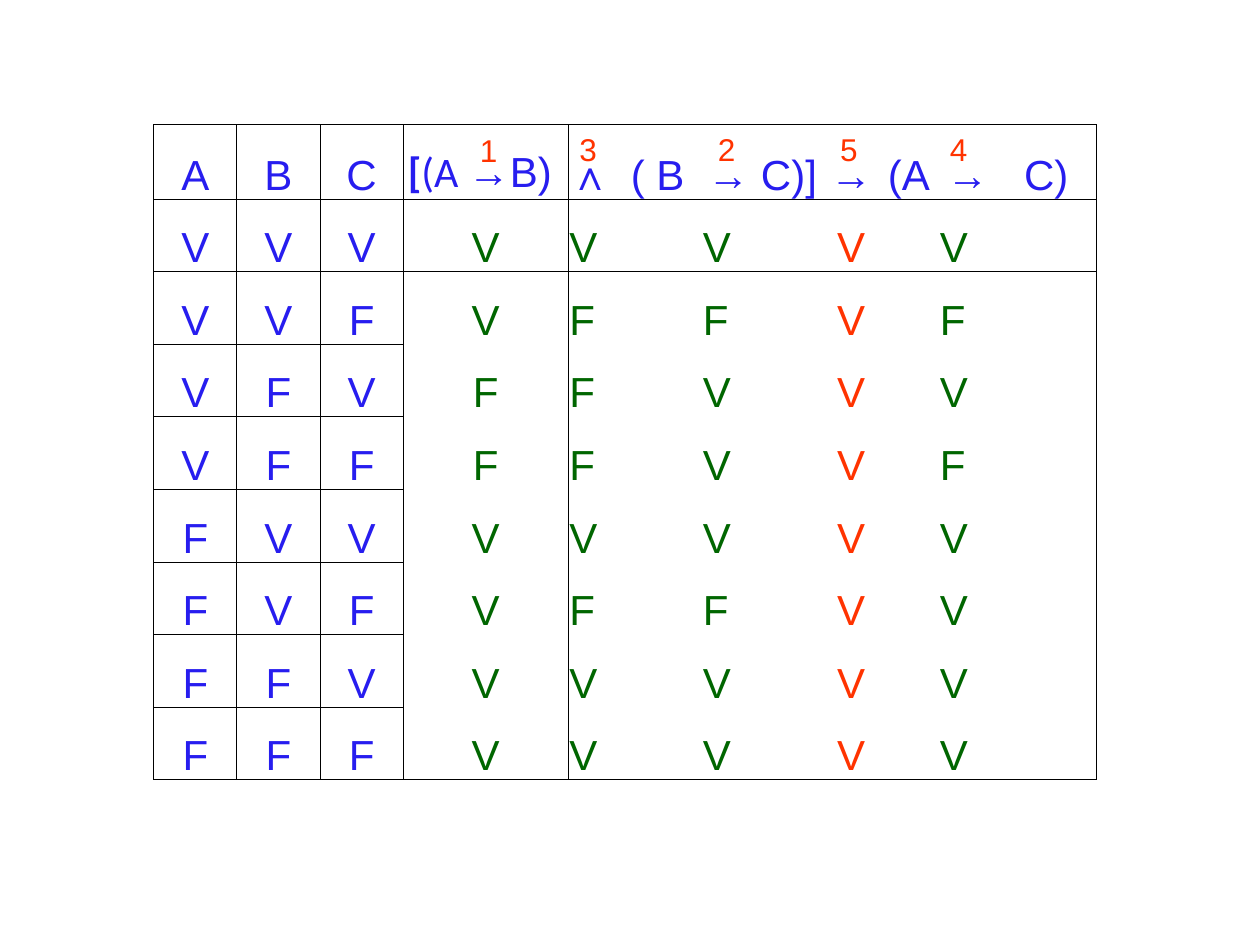
from itertools import product

from pptx import Presentation
from pptx.dml.color import RGBColor
from pptx.enum import text
from pptx.oxml import parse_xml
from pptx.oxml.ns import nsdecls, qn
from pptx.util import Inches, Pt

BLUE, GREEN, RED, BLACK = "271DEF", "006600", "FF3300", "000000"
NO_STYLE = "{2D5ABB26-0587-4C30-8999-92F81FD0307C}"
COL_WIDTHS = [0.66, 0.66, 0.66, 1.31, 0.36, 0.7, 0.96, 0.45, 0.47, 0.46, 0.79]
TABLE_HEIGHT, HEADER_HEIGHT = 5.2, 0.59
VARIABLES = 3
CENTER, LEFT = text.PP_ALIGN.CENTER, text.PP_ALIGN.LEFT

# Each header cell is a list of (text, font, bold) runs
HEADER = [[(t, "Arial", False)] for t in
          ("A", "B", "C", "", "∧", "( B", "→ C)]", "→", "(A", "→", "C)")]
HEADER[3] = [("[", "Calibri", True), ("(A ", "Calibri", False), ("→Β) ", "Arial", False)]

# Order of evaluation: number, left, top, wraps
STEPS = [("1", 3.71, 0.99, False), ("2", 5.6, 0.98, False), ("3", 4.5, 0.98, False),
         ("4", 7.44, 0.98, False), ("5", 6.57, 0.98, True)]


def rgb(color):
    return RGBColor.from_string(color)


def add_run(p, value, size, color, font="Arial", bold=False):
    r = p.add_run()
    r.text = value
    r.font.size, r.font.name, r.font.bold = Pt(size), font, bold
    r.font.color.rgb = rgb(color)


def write_cell(cell, runs, color, align=CENTER):
    cell.vertical_anchor = text.MSO_ANCHOR.BOTTOM
    cell.margin_left = cell.margin_right = cell.margin_top = Inches(0.01)
    cell.margin_bottom = 0
    p = cell.text_frame.paragraphs[0]
    p.alignment = align
    for value, font, bold in runs:
        add_run(p, value, 24, color, font, bold)


def set_borders(cell, sides):
    """Draw thin lines on the given sides, from L, R, T and B."""
    tc_pr = cell._tc.get_or_add_tcPr()
    for i, side in enumerate(s for s in "LRTB" if s in sides):
        line = parse_xml(
            f'<a:ln{side} {nsdecls("a")} w="{Pt(0.5)}"><a:solidFill>'
            f'<a:srgbClr val="{BLACK}"/></a:solidFill></a:ln{side}>')
        tc_pr.insert(i, line)


def border_sides(row, col, rows, cols):
    """Full grid for header and variables, outline only for the formula."""
    if col < VARIABLES:
        return "LRTB"
    sides = "L" if col == VARIABLES else ""
    sides += "R" if col == cols - 1 else ""
    sides += "T" if row < 2 else ""
    return sides + ("B" if row in (0, rows - 1) else "")


def truth_values(a, b, c):
    """Formula column -> (value, colour, alignment)."""
    ab, bc, ac = not a or b, not b or c, not a or c
    both = ab and bc
    return {0: (a, BLUE, CENTER), 1: (b, BLUE, CENTER), 2: (c, BLUE, CENTER),
            3: (ab, GREEN, CENTER), 4: (both, GREEN, LEFT), 6: (bc, GREEN, LEFT),
            7: (not both or ac, RED, CENTER), 9: (ac, GREEN, LEFT)}


def add_truth_table(s):
    cases = list(product((True, False), repeat=VARIABLES))
    rows, cols = len(cases) + 1, len(COL_WIDTHS)
    table = s.shapes.add_table(rows, cols, Inches(1.22), Inches(0.99),
                               Inches(sum(COL_WIDTHS)), Inches(TABLE_HEIGHT)).table
    table.first_row = table.horz_banding = False
    table._tbl.tblPr.find(qn("a:tableStyleId")).text = NO_STYLE
    for column, width in zip(table.columns, COL_WIDTHS):
        column.width = Inches(width)
    for row in table.rows:
        row.height = Inches((TABLE_HEIGHT - HEADER_HEIGHT) / len(cases))
    table.rows[0].height = Inches(HEADER_HEIGHT)

    # Header and truth values
    for col, runs in enumerate(HEADER):
        write_cell(table.cell(0, col), runs, BLUE)
    for row, case in enumerate(cases, 1):
        for col, (value, color, align) in truth_values(*case).items():
            letter = "V" if value else "F"
            write_cell(table.cell(row, col), [(letter, "Arial", False)], color, align)

    # Fill and lines
    for row, col in product(range(rows), range(cols)):
        cell = table.cell(row, col)
        cell.fill.background()
        set_borders(cell, border_sides(row, col, rows, cols))


def add_step(s, number, left, top, wraps):
    tf = s.shapes.add_textbox(Inches(left), Inches(top), Inches(0.34 - 0.02 * wraps),
                              Inches(0.4)).text_frame
    tf.word_wrap = wraps
    tf.auto_size = text.MSO_AUTO_SIZE.SHAPE_TO_FIT_TEXT
    add_run(tf.paragraphs[0], number, 18, RED)


def main():
    prs = Presentation()
    prs.slide_width, prs.slide_height = Inches(10), Inches(7.5)
    s = prs.slides.add_slide(prs.slide_layouts[6])
    add_truth_table(s)
    for step in STEPS:
        add_step(s, *step)
    prs.save("out.pptx")


if __name__ == "__main__":
    main()
